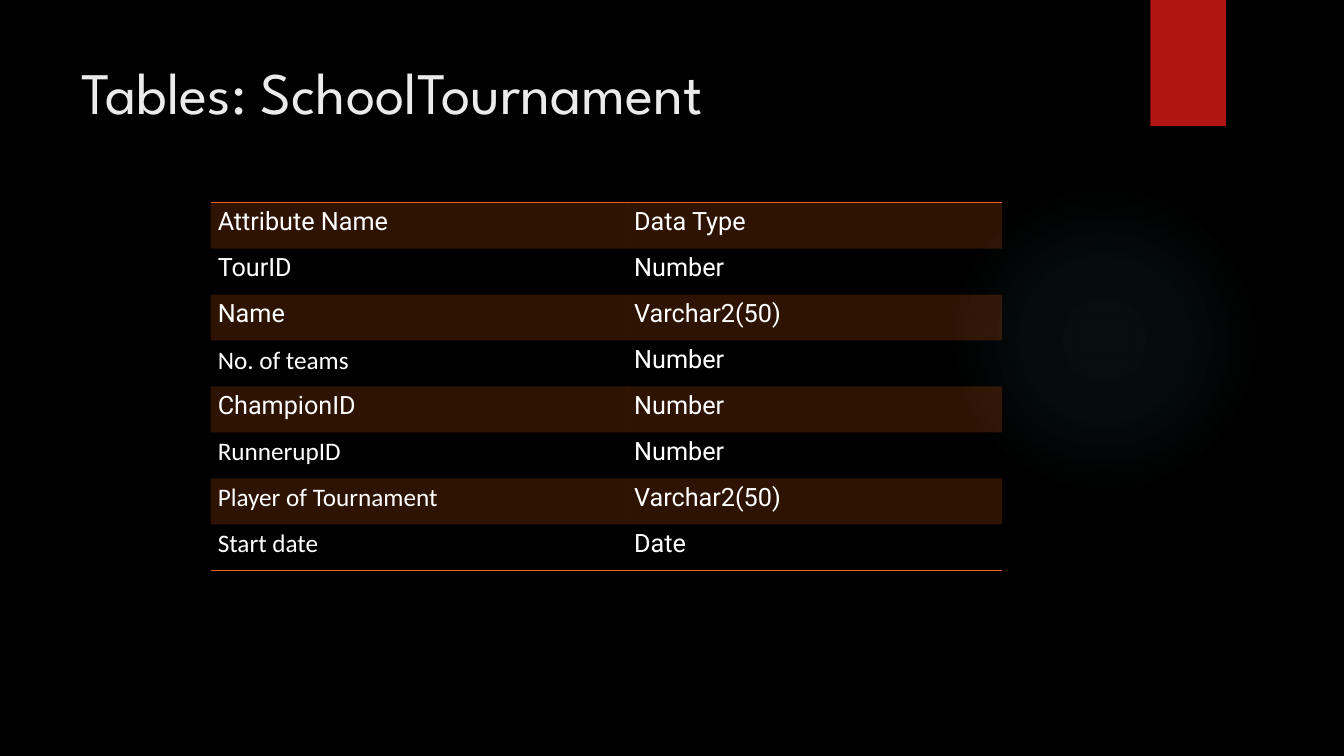
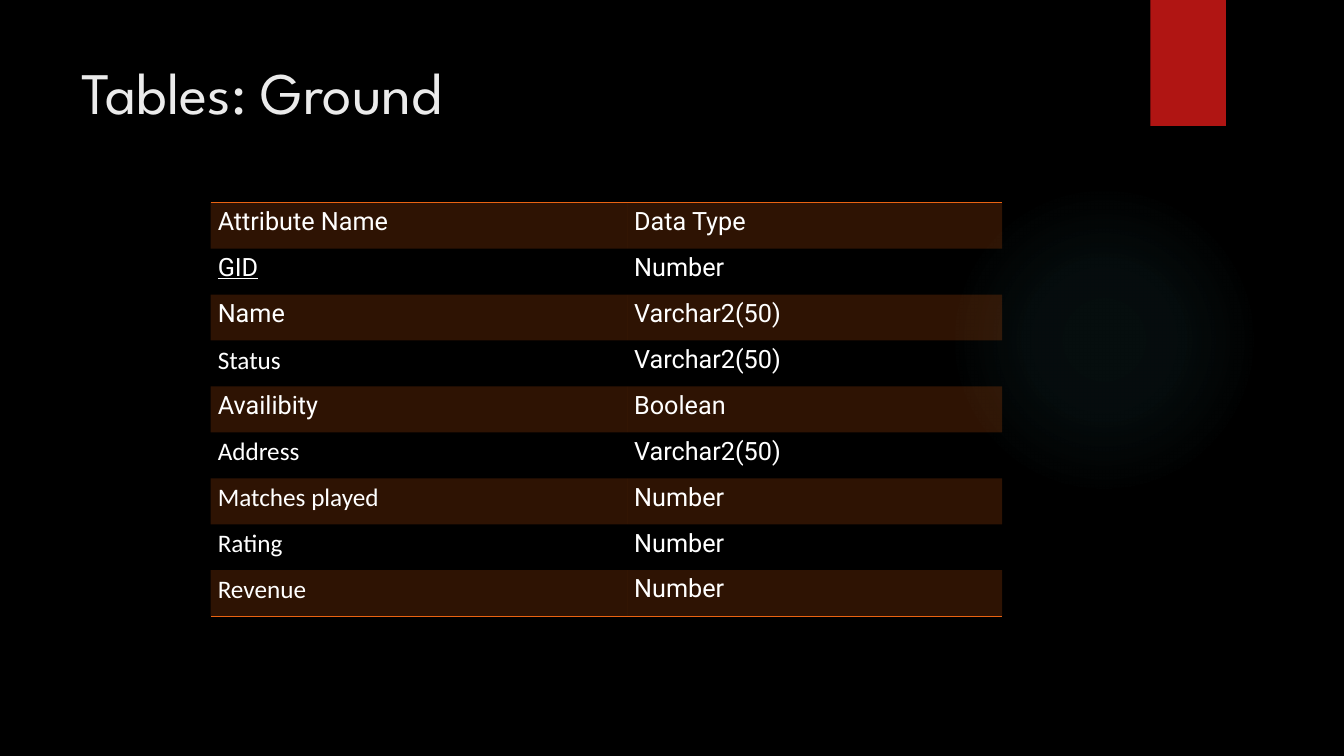
"""Build two slides that list the attributes of database tables."""
from pptx import Presentation
from pptx.dml.color import RGBColor
from pptx.enum.shapes import MSO_SHAPE
from pptx.enum.text import MSO_ANCHOR
from pptx.oxml import parse_xml
from pptx.oxml.ns import nsdecls, qn
from pptx.util import Inches, Pt

OVAL, RECT = MSO_SHAPE.OVAL, MSO_SHAPE.RECTANGLE
TOP = MSO_ANCHOR.TOP
BLACK = RGBColor(0x00, 0x00, 0x00)
WHITE = RGBColor(0xFF, 0xFF, 0xFF)
PALE = RGBColor(0xEB, 0xEB, 0xEB)
RED = RGBColor(0xB0, 0x15, 0x13)
ORANGE = RGBColor(0xEA, 0x63, 0x12)
TEAL = RGBColor(0x50, 0xB9, 0xC1)
NO_STYLE = "{2D5ABB26-0587-4C30-8999-92F81FD0307C}"
WIDTHS = (4.13, 3.72)
ROW = 3.65 / 8
HEAD = ("Attribute Name", "Data Type")
TABLES = {
    "SchoolTournament": [
        ("TourID", "Number"),
        ("Name", "Varchar2(50)"),
        ("No. of teams", "Number"),
        ("ChampionID", "Number"),
        ("RunnerupID", "Number"),
        ("Player of Tournament", "Varchar2(50)"),
        ("Start date", "Date"),
    ],
    "Ground": [
        ("GID", "Number"),
        ("Name", "Varchar2(50)"),
        ("Status", "Varchar2(50)"),
        ("Availibity", "Boolean"),
        ("Address", "Varchar2(50)"),
        ("Matches played", "Number"),
        ("Rating", "Number"),
        ("Revenue", "Number"),
    ],
}
STOPS = "".join(
    f'<a:gs pos="{pos}000"><a:srgbClr val="{TEAL}"><a:alpha val="{alpha}000"/></a:srgbClr></a:gs>'
    for pos, alpha in ((0, 7), (36, 6), (69, 0), (100, 0))
)
GLOW = (
    f'<a:gradFill {nsdecls("a")} rotWithShape="1"><a:gsLst>{STOPS}</a:gsLst><a:path path="circle">'
    '<a:fillToRect l="50000" t="50000" r="50000" b="50000"/></a:path></a:gradFill>'
)


def write(frame, text, font="Roboto", size=18, color=WHITE, under=False, line=None, after=None):
    para = frame.paragraphs[0]
    para.line_spacing = line
    para.space_after = after
    run = para.add_run()
    run.text = text
    run.font.name = font
    run.font.size = Pt(size)
    run.font.color.rgb = color
    if under:
        run.font.underline = True


def draw(slide, kind, left, top, width, height):
    shape = slide.shapes.add_shape(kind, Inches(left), Inches(top), Inches(width), Inches(height))
    shape.shadow.inherit = False
    shape.line.fill.background()
    return shape


prs = Presentation()
prs.slide_width = Inches(13.33)
prs.slide_height = Inches(7.5)
back = prs.slide_master.background.fill
back.solid()
back.fore_color.rgb = BLACK

for name, fields in TABLES.items():
    slide = prs.slides.add_slide(prs.slide_layouts[6])

    glow = draw(slide, OVAL, 9.41, 1.83, 3.08, 3.08)
    glow.fill.background()
    props = glow.fill._xPr
    props.replace(props.find(qn("a:noFill")), parse_xml(GLOW))

    band = draw(slide, RECT, 11.41, 0, 0.75, 1.25)
    band.fill.solid()
    band.fill.fore_color.rgb = RED

    title = slide.shapes.add_textbox(Inches(0.71), Inches(0.5), Inches(10.79), Inches(1.53))
    title.text_frame.word_wrap = True
    title.text_frame.vertical_anchor = TOP
    write(title.text_frame, f"Tables: {name}", font="League Spartan", size=42, color=PALE)

    rows = [HEAD, *fields]
    last = len(rows) - 1
    table = slide.shapes.add_table(
        len(rows), 2, Inches(2.09), Inches(2.01), Inches(sum(WIDTHS)), Inches(ROW * len(rows))
    ).table
    table.first_row = table.horz_banding = False
    table._tbl.tblPr.find(qn("a:tableStyleId")).text = NO_STYLE
    for col, width in zip(table.columns, WIDTHS):
        col.width = Inches(width)

    for r, row in enumerate(rows):
        table.rows[r].height = Inches(ROW)
        for c, text in enumerate(row):
            cell = table.cell(r, c)
            cell.margin_left = cell.margin_right = Inches(0.07)
            cell.margin_top = cell.margin_bottom = 0
            plain = c == 0 and (r == 3 or r > 4)
            write(cell.text_frame, text, font="Calibri" if plain else "Roboto",
                  under=text == "GID", line=1.15, after=Pt(10))
            props = cell._tc.get_or_add_tcPr()
            if r % 2:
                cell.fill.background()
            else:
                cell.fill.solid()
                cell.fill.fore_color.rgb = ORANGE
                tint = props.find(qn("a:solidFill"))[0]
                tint.append(parse_xml(f'<a:alpha {nsdecls("a")} val="20000"/>'))
            if r in (0, last):
                edge = "lnT" if r == 0 else "lnB"
                props.insert(0, parse_xml(
                    f'<a:{edge} {nsdecls("a")} w="12700"><a:solidFill>'
                    f'<a:srgbClr val="{ORANGE}"/></a:solidFill></a:{edge}>'
                ))

prs.save("out.pptx")
